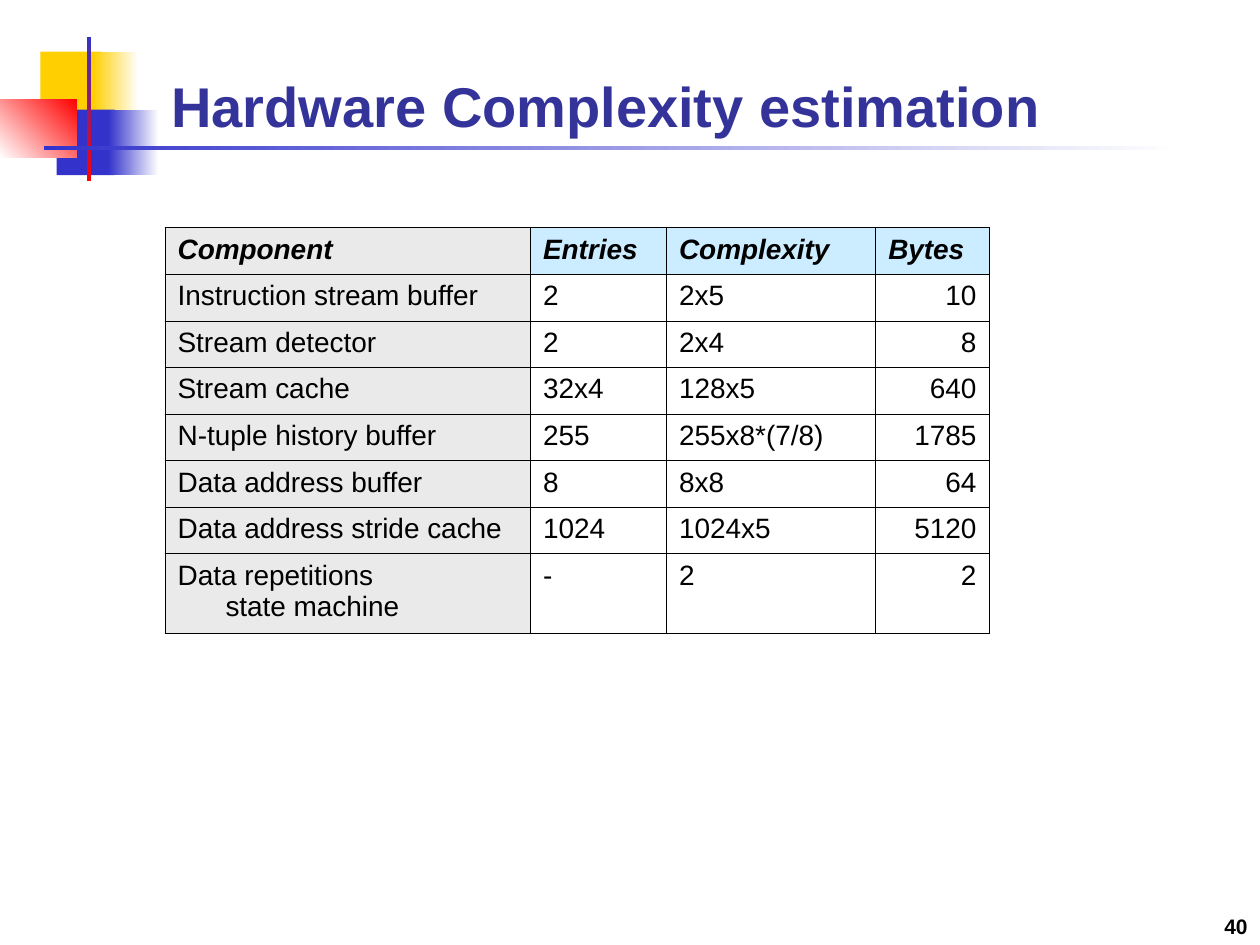
"""Build the hardware complexity slide with its corner motif and table."""
from lxml import etree
from pptx import Presentation
from pptx import util as u
from pptx.dml.color import RGBColor
from pptx.enum import shapes, text
from pptx.oxml.ns import qn

HUES = {"gold": "FFCF01", "blue": "3333CC", "red": "FF0000", "white": "FFFFFF",
        "navy": "333399", "black": "000000", "gray": "EAEAEA", "sky": "CCECFF"}
FONT = "Arial"

deck = Presentation()
deck.slide_width, deck.slide_height = u.Inches(10), u.Inches(7.5)
wide, high = deck.slide_width / 100, deck.slide_height / 100
slide = deck.slides.add_slide(deck.slide_layouts[5])


def box(x, y, w, h):
    """Turn percentages of the slide into lengths."""
    return [u.Emu(round(n)) for n in (x * wide, y * high, w * wide, h * high)]


def write(par, words, size, hue="black", bold=False, slant=False):
    """Add one formatted run to a paragraph."""
    run = par.add_run()
    run.text = words
    font = run.font
    font.name, font.size, font.bold, font.italic = FONT, u.Pt(size), bold, slant
    font.color.rgb = RGBColor.from_string(HUES[hue])


motif = [
    ((3.2, 5.47, 4.8, 6.93), ["gold"], 0),
    ((7.4, 5.47, 3.6, 6.93), ["white", "gold"], 180),
    ((4.5, 11.6, 4.6, 6.93), ["blue"], 0),
    ((8.6, 11.6, 4, 6.93), ["white", "blue"], 180),
    ((0, 10.53, 6.1, 6.13), ["red", "white"], 135),
    ((6.9, 3.87, 0.35, 15.33), ["blue", "red"], 90),
    ((3.5, 15.47, 90, 0.45), ["white", "blue"], 180),
]
for place, hues, turn in motif:
    block = slide.shapes.add_shape(shapes.MSO_SHAPE.RECTANGLE, *box(*place))
    block.shadow.inherit = False
    block.line.fill.background()
    if len(hues) == 1:
        block.fill.solid()
        block.fill.fore_color.rgb = RGBColor.from_string(HUES[hues[0]])
    else:
        block.fill.gradient()
        block.fill.gradient_angle = 360 - turn
        for stop, hue, at in zip(block.fill.gradient_stops, hues, (0, 1)):
            stop.color.rgb = RGBColor.from_string(HUES[hue])
            stop.position = at

title = slide.shapes.title
title.left, title.top, title.width, title.height = box(12.6, 2.27, 85.2, 13.07)
frame = title.text_frame
frame.word_wrap = True
frame.auto_size = text.MSO_AUTO_SIZE.NONE
frame.vertical_anchor = text.MSO_ANCHOR.BOTTOM
frame.paragraphs[0].alignment = text.PP_ALIGN.LEFT
write(frame.paragraphs[0], "Hardware Complexity estimation", 32, "navy", bold=True)

data = [
    ("Component", "Entries", "Complexity", "Bytes"),
    ("Instruction stream buffer", "2", "2x5", "10"),
    ("Stream detector", "2", "2x4", "8"),
    ("Stream cache", "32x4", "128x5", "640"),
    ("N-tuple history buffer", "255", "255x8*(7/8)", "1785"),
    ("Data address buffer", "8", "8x8", "64"),
    ("Data address stride cache", "1024", "1024x5", "5120"),
    ("Data repetitions\nstate machine", "-", "2", "2"),
]
cols = [29, 10.8, 16.6, 9]
rows = [4.93] * 7 + [8.45]
grid = slide.shapes.add_table(len(rows), len(cols),
                              *box(13.1, 24.1, sum(cols), sum(rows))).table
for col, share in zip(grid.columns, cols):
    col.width = u.Emu(round(share * wide))
for row, share in zip(grid.rows, rows):
    row.height = u.Emu(round(share * high))

for r, line in enumerate(data):
    for c, words in enumerate(line):
        cell = grid.cell(r, c)
        hue = "gray" if c == 0 else "sky" if r == 0 else None
        if hue:
            cell.fill.solid()
            cell.fill.fore_color.rgb = RGBColor.from_string(HUES[hue])
        else:
            cell.fill.background()
        par = cell.text_frame.paragraphs[0]
        par.alignment = text.PP_ALIGN.RIGHT if r and c == 3 else text.PP_ALIGN.LEFT
        props = par._p.get_or_add_pPr()
        props.set("marL", str(u.Inches(0.38)))
        props.set("indent", str(-u.Inches(0.38)))
        for n, part in enumerate(words.split("\n")):
            if n:
                par.add_line_break()
            write(par, part, 16, bold=r == 0, slant=r == 0)
        rim = cell._tc.get_or_add_tcPr()
        for n, side in enumerate(("lnL", "lnR", "lnT", "lnB")):
            edge = etree.Element(qn("a:" + side), w=str(u.Pt(0.45)))
            ink = etree.SubElement(edge, qn("a:solidFill"))
            etree.SubElement(ink, qn("a:srgbClr"), val=HUES["black"])
            rim.insert(n, edge)

frame = slide.shapes.add_textbox(*box(79.2, 93.33, 20.8, 6.67)).text_frame
frame.word_wrap = True
frame.vertical_anchor = text.MSO_ANCHOR.BOTTOM
frame.paragraphs[0].alignment = text.PP_ALIGN.RIGHT
write(frame.paragraphs[0], "40", 12, bold=True)

deck.save("out.pptx")
